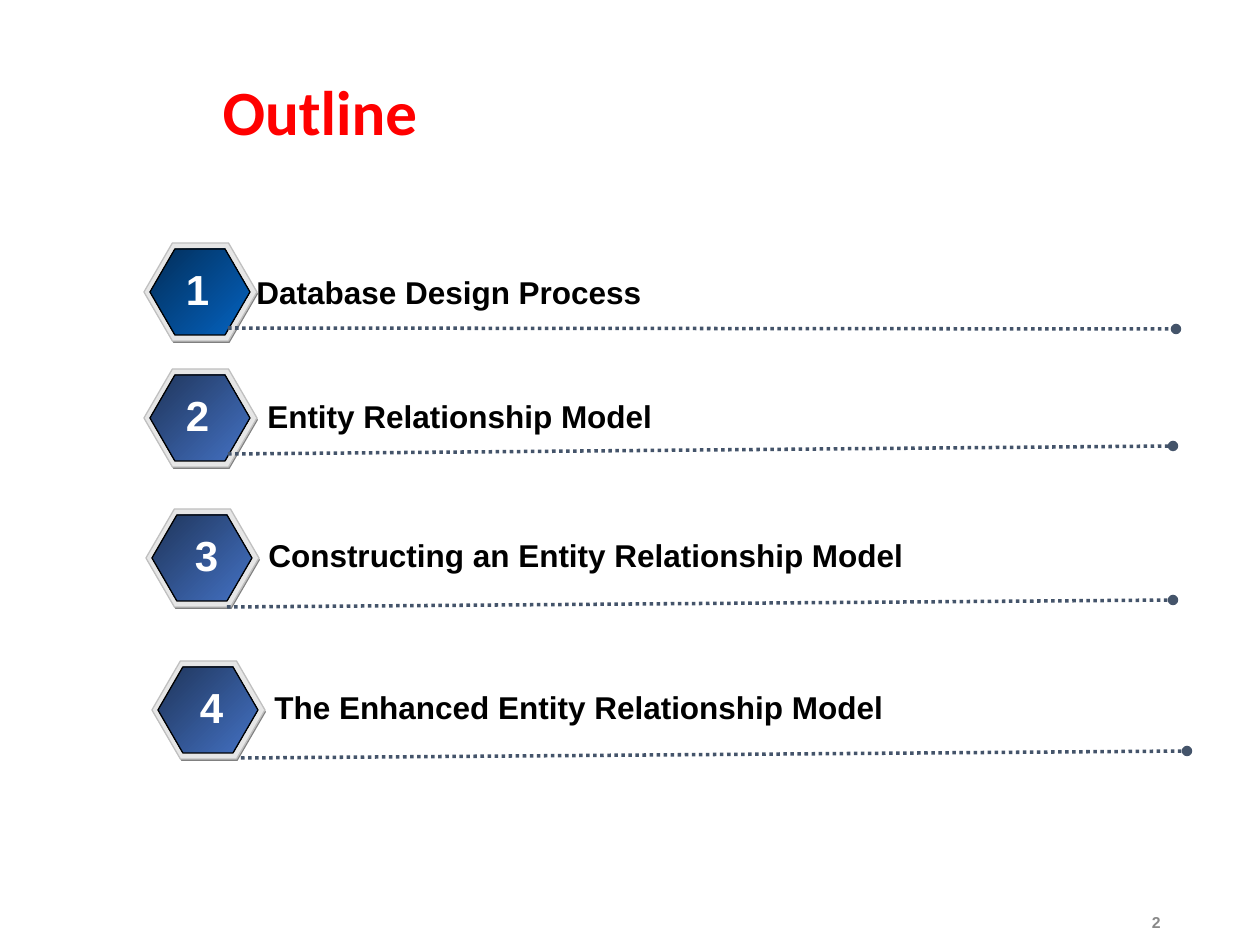
from lxml import etree
from pptx import Presentation, util as u
from pptx.dml.color import RGBColor
from pptx.enum import dml, shapes, text
from pptx.oxml.ns import qn

PX = u.Inches(1) / 126
ROW_LABELS = [
    # label, badge left/top, number left, label left/top/width, rule from/to
    ("Database Design Process", (144, 243), 171, (244, 267, 920), (228, 328, 1176, 329)),
    ("Entity Relationship Model", (144, 369), 171, (255, 391, 882), (228, 454, 1173, 446)),
    ("Constructing an Entity Relationship Model", (146, 509), 180, (256, 530, 882),
     (227, 607, 1173, 600)),
    ("The Enhanced Entity Relationship Model", (152, 661), 185, (262, 682, 882),
     (241, 758, 1187, 751)),
]


def color(value):
    return RGBColor.from_string(value)


def write(shape, words, size, font_color, align, anchor, name="Arial"):
    """Put one bold paragraph into a text box or placeholder."""
    frame = shape.text_frame
    frame.word_wrap = True
    frame.vertical_anchor = anchor
    paragraph = frame.paragraphs[0]
    paragraph.alignment = align
    run = paragraph.add_run()
    run.text = words
    for key, value in {"name": name, "size": u.Pt(size), "bold": True}.items():
        setattr(run.font, key, value)
    run.font.color.rgb = color(font_color)
    return paragraph


presentation = Presentation()
presentation.slide_width, presentation.slide_height = u.Inches(10), u.Inches(7.5)
slide = presentation.slides.add_slide(presentation.slide_layouts[5])
LEFT, CENTER, RIGHT = text.PP_ALIGN.LEFT, text.PP_ALIGN.CENTER, text.PP_ALIGN.RIGHT
TOP, MIDDLE = text.MSO_ANCHOR.TOP, text.MSO_ANCHOR.MIDDLE

title = slide.shapes.title
for key, value in {"left": 210, "top": 50, "width": 963, "height": 130}.items():
    setattr(title, key, round(value * PX))
write(title, "Outline", 36, "FF0000", LEFT, MIDDLE, "Calibri").line_spacing = 0.9

for number, (label, badge, number_left, label_box, rule) in enumerate(ROW_LABELS, 1):
    left, top = badge
    start = ("022E59", "0563C1") if number == 1 else ("1F355B", "4472C4")
    group = slide.shapes.add_group_shape()
    for dx, dy, width, height, fills, outline in [
        (1, 2, 113, 98, ["808080"], None),
        (0, 0, 113, 98, ["E6E6E6"], "C0C0C0"),
        (6, 6, 100, 86, start, "000000"),
    ]:
        box = [round(v * PX) for v in (left + dx, top + dy, width, height)]
        hexagon = group.shapes.add_shape(shapes.MSO_SHAPE.HEXAGON, *box)
        hexagon.shadow.inherit = False
        hexagon.adjustments[0] = 0.29
        if len(fills) == 1:
            hexagon.fill.solid()
            hexagon.fill.fore_color.rgb = color(fills[0])
        else:
            hexagon.fill.gradient()
            hexagon.fill.gradient_angle = 315
            for stop, fill in zip(hexagon.fill.gradient_stops, fills):
                stop.color.rgb = color(fill)
        if outline:
            hexagon.line.color.rgb = color(outline)
            hexagon.line.width = u.Pt(0.75)
        else:
            hexagon.line.fill.background()

    connector = slide.shapes.add_connector(
        shapes.MSO_CONNECTOR.STRAIGHT, *[round(v * PX) for v in rule])
    connector.line.color.rgb = color("44546A")
    connector.line.width = u.Pt(2)
    connector.line.dash_style = dml.MSO_LINE.ROUND_DOT
    etree.SubElement(connector.line._get_or_add_ln(), qn("a:tailEnd"), type="oval")
    etree.SubElement(connector._element.spPr, qn("a:effectLst"))

    label_left, label_top, label_width = label_box
    for words, size, font_color, align, box in [
        (label, 18, "000000", LEFT, (label_left, label_top, label_width, 50)),
        (str(number), 24, "FFFFFF", CENTER, (number_left, top + 14, 53, 63)),
    ]:
        textbox = slide.shapes.add_textbox(*[round(v * PX) for v in box])
        write(textbox, words, size, font_color, align, TOP)

page_number = slide.shapes.add_textbox(*[round(v * PX) for v in (890, 900, 283, 45)])
write(page_number, "2", 9, "898989", RIGHT, MIDDLE)

presentation.save("out.pptx")
